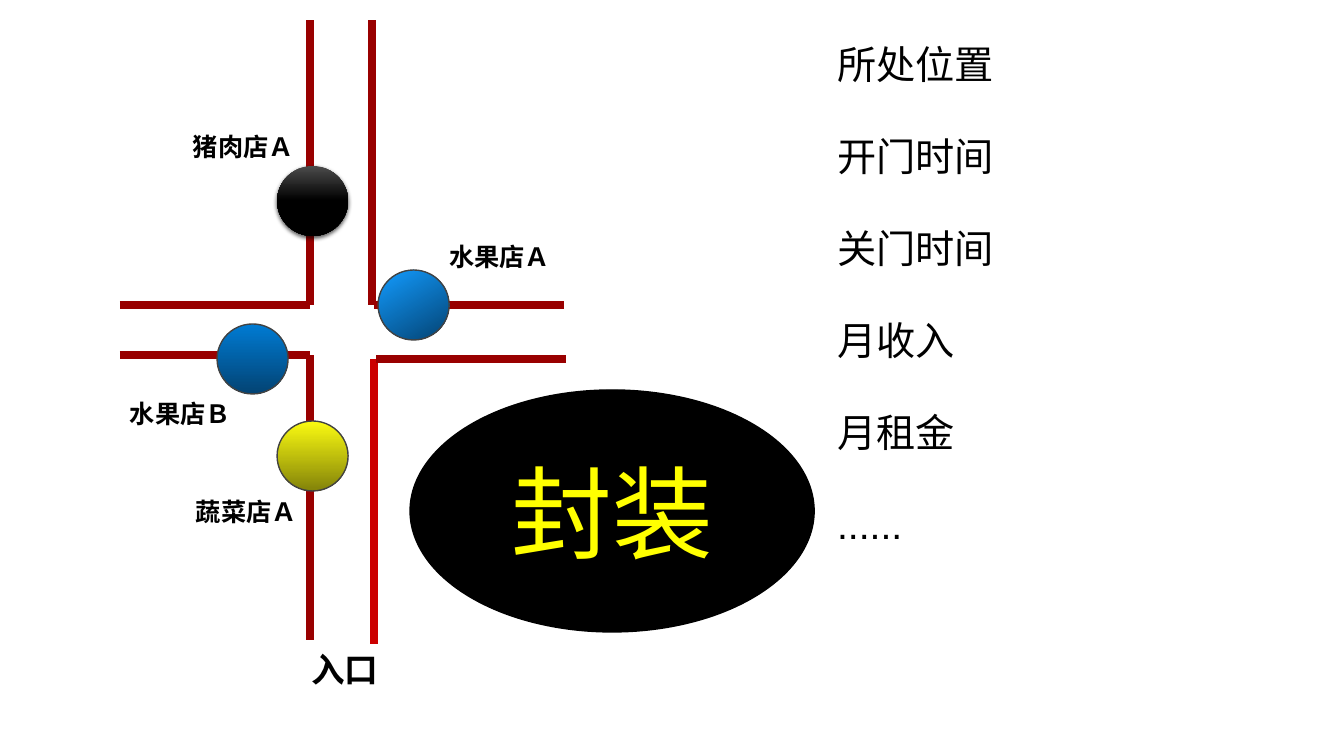
"""Build a slide of a shop-lined crossroads beside the attributes that get encapsulated."""
from lxml import etree
from pptx import Presentation
from pptx import util as u
from pptx.dml.color import RGBColor
from pptx.enum import shapes, text
from pptx.oxml.ns import qn

PX = 914400 / 100.8
FONT = "Arial"
ROAD, ENTRY, RIM = "990000", "CC0000", "424242"

ROADS = [
    (310, 640, 310, 355, ROAD),
    (374, 644, 374, 359, ENTRY),
    (310, 305, 310, 20, ROAD),
    (372, 305, 372, 20, ROAD),
    (376, 359, 566, 359, ROAD),
    (374, 305, 564, 305, ROAD),
    (120, 305, 310, 305, ROAD),
    (120, 355, 310, 355, ROAD),
]
BALL_SIZE = (71, 70)
BALLS = [
    (378, 270, "139CFF", "034373", 1, 300, RIM),
    (277, 421, "FBFB11", "838309", 1, 270, RIM),
    (277, 166, "4B4B4B", "000000", 0.5, 270, None),
    (217, 324, "007BD3", "034373", 1, 270, RIM),
]
LABELS = [
    ("水果店Ｂ", (120, 393, 128, 40), 18),
    ("水果店Ａ", (439, 236, 128, 40), 18),
    ("猪肉店Ａ", (183, 126, 128, 40), 18),
    ("蔬菜店Ａ", (186, 491, 128, 40), 18),
    ("入口", (301, 644, 109, 50), 24),
]
ATTRIBUTES = ["所处位置", "开门时间", "关门时间", "月收入", "月租金", "......"]
ATTRIBUTES_BOX = (827, 35, 262, 532)
CONCEPT, CONCEPT_BOX = "封装", (410, 390, 404, 242)


def px(*values):
    return [round(v * PX) for v in values]


def rgb(value):
    return RGBColor.from_string(value)


def write(tf, lines, color="000000", align=None, gap=0, **fmt):
    tf.word_wrap = True
    for i, line in enumerate(lines):
        p = tf.paragraphs[0] if i == 0 else tf.add_paragraph()
        p.alignment = align
        if i and gap:
            p.space_before = u.Pt(gap)
        r = p.add_run()
        r.text = line
        for name, value in {"name": FONT, **fmt}.items():
            setattr(r.font, name, value)
        r.font.color.rgb = rgb(color)


def outline(sp, color, width=1):
    if color is None:
        sp.line.fill.background()
        return
    sp.line.color.rgb = rgb(color)
    sp.line.width = u.Pt(width)


def add_road(s, x1, y1, x2, y2, color):
    cn = s.shapes.add_connector(shapes.MSO_CONNECTOR.STRAIGHT, *px(x1, y1, x2, y2))
    outline(cn, color, 6)
    etree.SubElement(cn._element.spPr, qn("a:effectLst"))


def add_ellipse(s, box):
    sp = s.shapes.add_shape(shapes.MSO_SHAPE.OVAL, *px(*box))
    sp.shadow.inherit = False
    return sp


def add_shadow(sp):
    effects = sp._element.spPr.find(qn("a:effectLst"))
    shadow = etree.SubElement(effects, qn("a:outerShdw"), blurRad=str(u.Pt(3)),
                              dist=str(u.Pt(1.5)), dir="5400000", rotWithShape="0")
    clr = etree.SubElement(shadow, qn("a:srgbClr"), val="000000")
    etree.SubElement(clr, qn("a:alpha"), val="63000")


def add_ball(s, x, y, start, end, stop, angle, rim):
    sp = add_ellipse(s, (x, y, *BALL_SIZE))
    sp.fill.gradient()
    sp.fill.gradient_angle = angle
    for gs, color, position in zip(sp.fill.gradient_stops, (start, end), (0, stop)):
        gs.color.rgb = rgb(color)
        gs.position = position
    outline(sp, rim)
    if rim is None:
        add_shadow(sp)


def main():
    prs = Presentation()
    prs.slide_width, prs.slide_height = u.Inches(13.33), u.Inches(7.5)
    s = prs.slides.add_slide(prs.slide_layouts[6])
    for road in ROADS:
        add_road(s, *road)
    for ball in BALLS:
        add_ball(s, *ball)
    for label, box, size in LABELS:
        tf = s.shapes.add_textbox(*px(*box)).text_frame
        write(tf, [label], size=u.Pt(size), bold=True)
    tf = s.shapes.add_textbox(*px(*ATTRIBUTES_BOX)).text_frame
    write(tf, ATTRIBUTES, gap=32.2, size=u.Pt(28))
    sp = add_ellipse(s, CONCEPT_BOX)
    sp.fill.solid()
    sp.fill.fore_color.rgb = rgb("000000")
    outline(sp, "000000")
    sp.text_frame.vertical_anchor = text.MSO_ANCHOR.MIDDLE
    write(sp.text_frame, [CONCEPT], "FFFF00", text.PP_ALIGN.CENTER, size=u.Pt(72))
    prs.save("out.pptx")


if __name__ == "__main__":
    main()
